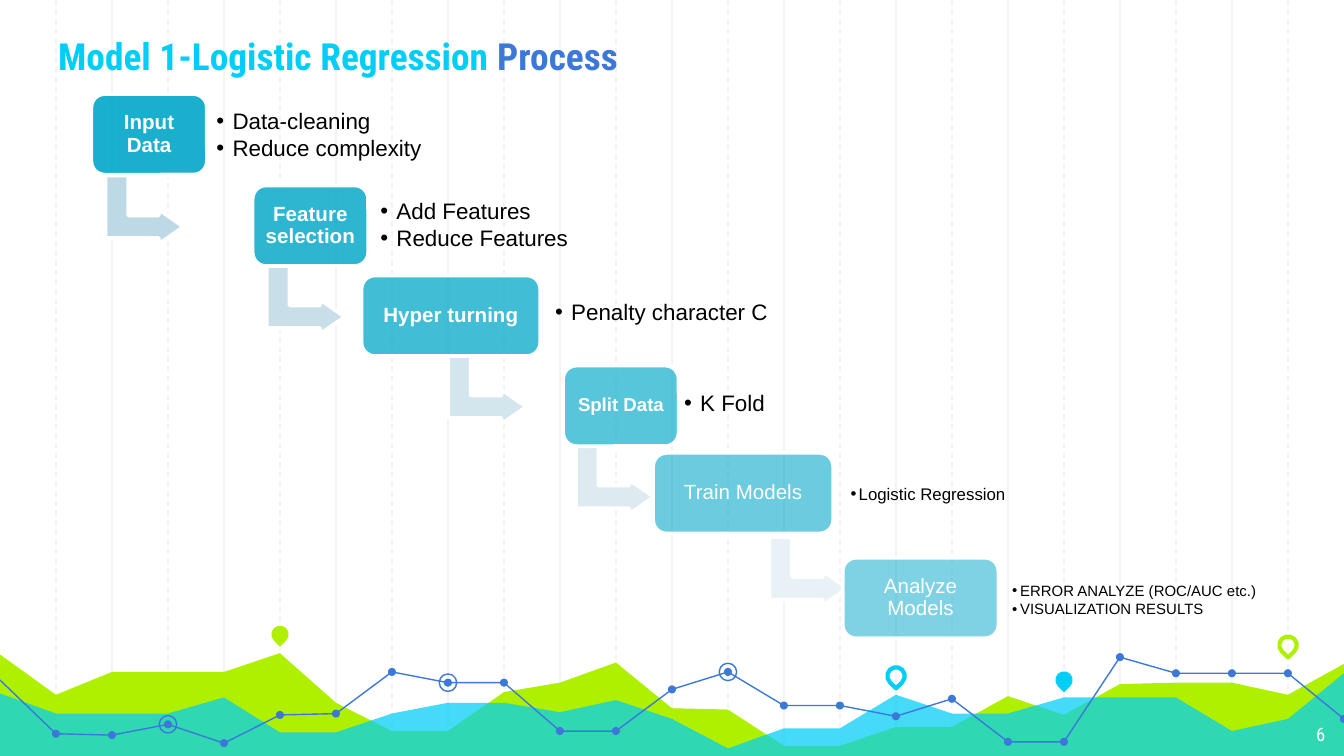
from lxml import etree
from pptx import Presentation
from pptx import util as u
from pptx.dml.color import RGBColor
from pptx.enum import dml, shapes, text
from pptx.oxml.ns import qn

WIDE = 10
HIGH = WIDE * 9 / 16
GAP = WIDE / 24
LIME, CYAN, BLUE, TEAL = "AFF000", "00CEF6", "3C78D8", "00A7C8"
GREY, WHITE, BLACK = "F3F3F3", "FFFFFF", "000000"
HEAD, BODY = "Roboto Condensed", "Arial"

TITLE = [("Model 1-Logistic Regression ", CYAN), ("Process", BLUE)]
AREAS = [
    (LIME, 100, [4.87, 5.17, 5, 5, 5, 4.86, 5.23, 5.44, 5.44, 5.15, 5.08, 4.93, 5.27,
                 5.28, 5.55, 5.55, 5.41, 5.41, 5.18, 5.32, 5.09, 5.08, 5.08, 5.17, 4.94]),
    (CYAN, 73, [5.16, 5.31, 5.31, 5.31, 5.19, 5.45, 5.45, 5.31, 5.23, 5.23, 5.3, 5.21, 5.35,
                5.57, 5.42, 5.42, 5.17, 5.31, 5.31, 5.19, 5.19, 5.19, 5.44, 5.35, 5.01]),
]
TREND = [5.06, 5.46, 5.47, 5.39, 5.53, 5.32, 5.31, 5, 5.08, 5.08, 5.44, 5.44, 5.13,
         5, 5.25, 5.25, 5.33, 5.2, 5.52, 5.52, 4.89, 5.01, 5.01, 5.01, 5.35]
RINGS = [3, 8, 13]
PINS = [(5, 4.72, LIME, True), (16, 5.03, CYAN, False),
        (19, 5.06, CYAN, True), (23, 4.8, LIME, False)]

STEPS = [
    dict(name="Input Data", box=(0.68, 0.7, 0.86), size=11, bold=True,
         notes=["Data-cleaning", "Reduce complexity"], side=(1.56, 0.77, 2.49),
         pt=12, dent=0.12, arrow=(0.82, 1.27, "BDD9E6")),
    dict(name="Feature selection", box=(1.88, 1.38, 0.86), size=11, bold=True,
         notes=["Add Features", "Reduce Features"], side=(2.78, 1.44, 2.5),
         pt=12, dent=0.12, arrow=(2.02, 1.94, "C8DFE9")),
    dict(name="Hyper turning", box=(2.69, 2.05, 1.33), size=11, bold=True,
         notes=["Penalty character C"], side=(4.08, 2.09, 2.55),
         pt=12, dent=0.12, arrow=(3.37, 2.61, "D3E5ED")),
    dict(name="Split Data", box=(4.19, 2.72, 0.86), size=10, bold=True,
         notes=["K Fold"], side=(5.04, 2.77, 1.56),
         pt=12, dent=0.12, arrow=(4.32, 3.28, "DDEBF1")),
    dict(name="Train Models", box=(4.86, 3.37, 1.34), size=11, bold=False,
         notes=["Logistic Regression"], side=(6.28, 3.44, 1.73),
         pt=9, dent=0.06, arrow=(5.76, 3.96, "E8F1F5")),
    dict(name="Analyze Models", box=(6.27, 4.15, 1.16), size=11, bold=False,
         notes=["ERROR ANALYZE (ROC/AUC etc.)", "VISUALIZATION RESULTS"],
         side=(7.48, 4.23, 1.95), pt=8, dent=0.06, arrow=None),
]


def hue(code):
    return RGBColor.from_string(code)


def paint(shape, fill=None, line=None, width=0.75, alpha=100):
    shape.shadow.inherit = False
    if fill:
        shape.fill.solid()
        shape.fill.fore_color.rgb = hue(fill)
        if alpha < 100:
            tint = shape._element.spPr.find(qn("a:solidFill"))[0]
            etree.SubElement(tint, qn("a:alpha")).set("val", str(alpha * 1000))
    else:
        shape.fill.background()
    if line:
        shape.line.color.rgb = hue(line)
        shape.line.width = u.Pt(width)
    else:
        shape.line.fill.background()
    return shape


def put(slide, kind, *spot):
    return slide.shapes.add_shape(kind, *map(u.Inches, spot))


def disc(slide, i, y, size, **look):
    kind = shapes.MSO_SHAPE.OVAL
    paint(put(slide, kind, i * GAP - size / 2, y - size / 2, size, size), **look)


def trace(slide, spots, close):
    first, *rest = [(u.Inches(x), u.Inches(y)) for x, y in spots]
    pen = slide.shapes.build_freeform(*first)
    pen.add_line_segments(rest, close=close)
    return pen.convert_to_shape()


def frame(shape, pad, anchor):
    box = shape.text_frame
    box.word_wrap = True
    box.auto_size = text.MSO_AUTO_SIZE.NONE
    box.vertical_anchor = anchor
    box.margin_left = box.margin_right = u.Inches(pad)
    box.margin_top = box.margin_bottom = u.Inches(pad)
    return box


def style(run, font, size, color, bold=False):
    run.font.name, run.font.size, run.font.bold = font, u.Pt(size), bold
    run.font.color.rgb = hue(color)


def bullet(para, dent):
    props = para._p.get_or_add_pPr()
    props.set("marL", str(u.Inches(dent)))
    props.set("indent", str(-u.Inches(dent)))
    tint = etree.SubElement(props, qn("a:buClr"))
    etree.SubElement(tint, qn("a:srgbClr")).set("val", BLACK)
    etree.SubElement(props, qn("a:buFont")).set("typeface", BODY)
    etree.SubElement(props, qn("a:buChar")).set("char", "•")


def draw_grid(slide):
    for i in [*range(2, 24, 2), *range(1, 24, 2)]:
        x = u.Inches(i * GAP)
        line = slide.shapes.add_connector(shapes.MSO_CONNECTOR.STRAIGHT, x, 0, x, u.Inches(HIGH))
        line.line.color.rgb = hue(GREY)
        line.line.width = u.Pt(0.75)
        if i % 2:
            line.line.dash_style = dml.MSO_LINE.DASH
        etree.SubElement(line._element.spPr, qn("a:effectLst"))


def draw_waves(slide):
    for color, alpha, tops in AREAS:
        spots = [(i * GAP, y) for i, y in enumerate(tops)]
        paint(trace(slide, spots + [(WIDE, HIGH), (0, HIGH)], True), fill=color, alpha=alpha)
    paint(trace(slide, [(i * GAP, y) for i, y in enumerate(TREND)], False), line=BLUE)
    for i, y in enumerate(TREND[1:], 1):
        disc(slide, i, y, 0.06, fill=BLUE)
    for i in RINGS:
        disc(slide, i, TREND[i], 0.13, line=BLUE)
    for i, y, color, full in PINS:
        pin = put(slide, shapes.MSO_SHAPE.TEAR, i * GAP - 0.065, y - 0.065, 0.13, 0.13)
        pin.rotation = 135
        paint(pin, fill=color if full else None, line=None if full else color, width=2.25)


def draw_title(slide):
    title = slide.shapes.title
    slide.shapes._spTree.append(title._element)
    title.left, title.top, title.width, title.height = map(u.Inches, (0.13, 0.14, 4.77, 0.54))
    para = frame(title, 0.1, text.MSO_ANCHOR.BOTTOM).paragraphs[0]
    para.alignment = text.PP_ALIGN.CENTER
    for words, color in TITLE:
        run = para.add_run()
        run.text = words
        style(run, HEAD, 20, color, True)


def draw_page(slide):
    box = slide.shapes.add_textbox(*map(u.Inches, (9.36, 5.28, 0.6, 0.35)))
    para = frame(box, 0.1, text.MSO_ANCHOR.TOP).paragraphs[0]
    para.text = "6"
    para.alignment = text.PP_ALIGN.RIGHT
    style(para.runs[0], HEAD, 10, WHITE)


def draw_step(slide, i, step):
    if step["arrow"]:
        x, y, color = step["arrow"]
        arrow = put(slide, shapes.MSO_SHAPE.BENT_UP_ARROW, x, y, 0.51, 0.58)
        arrow.rotation = 90
        for k, part in enumerate((0.33, 0.25, 0.36)):
            arrow.adjustments[k] = part
        paint(arrow, fill=color, line=WHITE, width=2)

    x, y, wide = step["box"]
    card = put(slide, shapes.MSO_SHAPE.ROUNDED_RECTANGLE, x, y, wide, 0.6)
    paint(card, fill=TEAL, line=WHITE, width=2, alpha=90 - 8 * i)
    para = frame(card, 0.05, text.MSO_ANCHOR.MIDDLE).paragraphs[0]
    para.text = step["name"]
    para.alignment = text.PP_ALIGN.CENTER
    para.line_spacing = 0.9
    style(para.runs[0], BODY, step["size"], WHITE, step["bold"])

    x, y, wide = step["side"]
    side = slide.shapes.add_textbox(*map(u.Inches, (x, y, wide, 0.48)))
    box = frame(side, 0.05, text.MSO_ANCHOR.MIDDLE)
    box.text = "\n".join(step["notes"])
    for para in box.paragraphs:
        bullet(para, step["dent"])
        para.line_spacing = 0.9
        para.space_after = u.Pt(0.15 * step["pt"])
        style(para.runs[0], BODY, step["pt"], BLACK)


def main():
    deck = Presentation()
    deck.slide_width, deck.slide_height = u.Inches(WIDE), u.Inches(HIGH)
    slide = deck.slides.add_slide(deck.slide_layouts[5])
    draw_grid(slide)
    draw_waves(slide)
    draw_title(slide)
    draw_page(slide)
    for i, step in enumerate(STEPS):
        draw_step(slide, i, step)
    deck.save("out.pptx")


if __name__ == "__main__":
    main()
